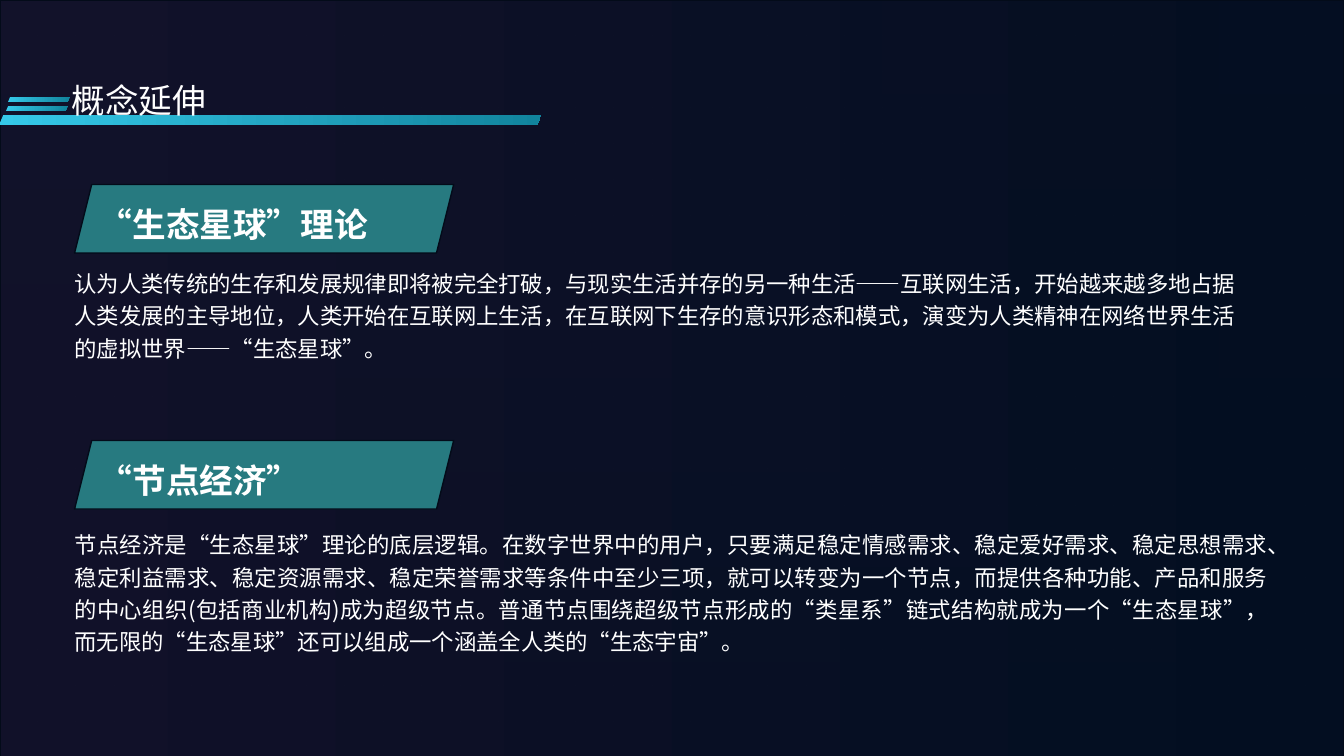
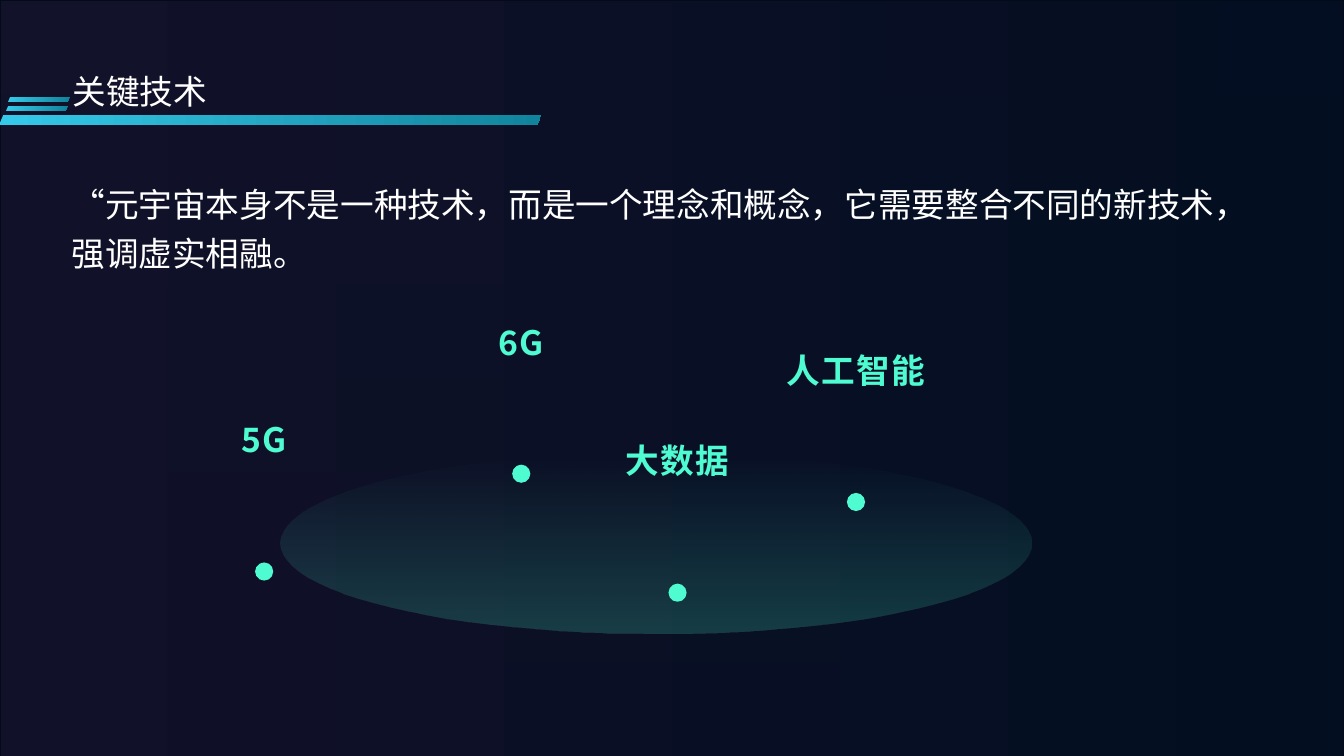
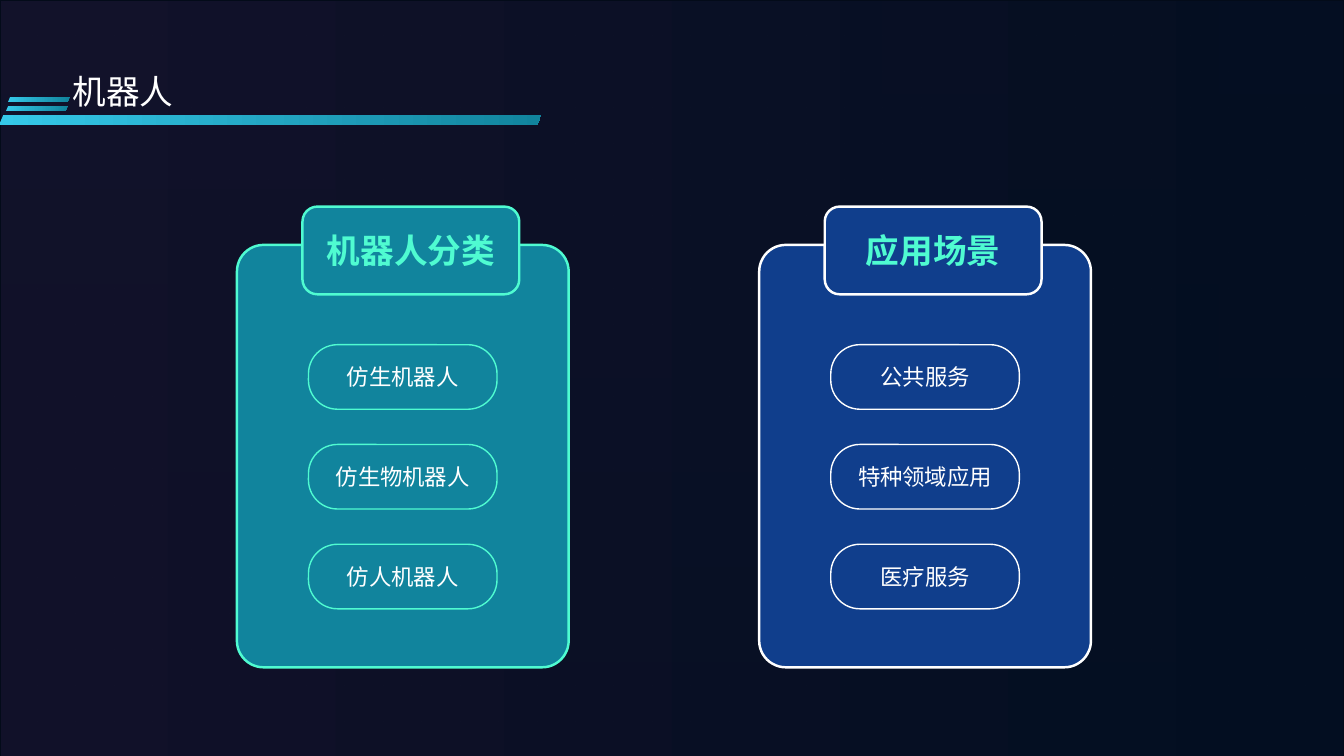
import dataclasses

import lxml.etree
import pptx
import pptx.dml.color
import pptx.enum.lang
import pptx.enum.shapes
import pptx.enum.text
import pptx.oxml.ns
import pptx.util

Inches = pptx.util.Inches
Shape = pptx.enum.shapes.MSO_SHAPE
Align = pptx.enum.text.PP_ALIGN
Anchor = pptx.enum.text.MSO_ANCHOR
AutoSize = pptx.enum.text.MSO_AUTO_SIZE
qualified = pptx.oxml.ns.qn


# Colours, fonts and type sizes
@dataclasses.dataclass(frozen=True)
class Theme:
    night_left: str = "13132B"
    night_right: str = "040F22"
    edge: str = "030B19"
    cyan: str = "35C9E9"
    teal: str = "11849D"
    sea: str = "277A80"
    blue: str = "103E8C"
    mint: str = "4FFBD1"
    white: str = "FFFFFF"
    chinese_font: str = "Noto Sans CJK JP"
    latin_font: str = "Karla"
    large: int = 24
    body: int = 16


THEME = Theme()
SLIDE_WIDTH, SLIDE_HEIGHT = 13.33, 7.5
FLUSH = {"margin_left": 0, "margin_right": 0}


def color(value):
    return pptx.dml.color.RGBColor.from_string(value)


def set_values(target, values):
    for name, value in values.items():
        setattr(target, name, value)


# Fills
def paint_gradient(fill, colors, angle=0):
    fill.gradient()
    fill.gradient_angle = angle
    for stop, value in zip(fill.gradient_stops, colors):
        stop.color.rgb = color(value)


def set_stop_opacity(shape, percents):
    stops = shape.element.iter(qualified("a:gs"))
    for stop, percent in zip(stops, percents):
        alpha = lxml.etree.SubElement(stop[0], qualified("a:alpha"))
        alpha.set("val", str(percent * 1000))


# Shapes and text
def add_shape(slide, kind, box, fill, line=None, line_width=1, adjustment=None,
              angle=0):
    """Fill is one colour, or a pair of colours for a gradient."""
    shape = slide.shapes.add_shape(kind, *map(Inches, box))
    shape.shadow.inherit = False
    if adjustment is not None:
        shape.adjustments[0] = adjustment
    if isinstance(fill, tuple):
        paint_gradient(shape.fill, fill, angle)
    else:
        shape.fill.solid()
        shape.fill.fore_color.rgb = color(fill)
    if line:
        shape.line.color.rgb = color(line)
        shape.line.width = pptx.util.Pt(line_width)
    else:
        shape.line.fill.background()
    return shape


def write_text(shape, text, size, font=THEME.chinese_font, ink=THEME.white,
               bold=False, tracking=None, frame=None, paragraph=None):
    set_values(shape.text_frame, {"word_wrap": True, **(frame or {})})
    target = shape.text_frame.paragraphs[0]
    set_values(target, paragraph or {})
    run = target.add_run()
    run.text = text
    set_values(run.font, {
        "size": pptx.util.Pt(size), "name": font, "bold": bold,
        "language_id": pptx.enum.lang.MSO_LANGUAGE_ID.SIMPLIFIED_CHINESE,
    })
    run.font.color.rgb = color(ink)
    for properties in shape.element.iter(qualified("a:rPr")):
        east_asian = lxml.etree.SubElement(properties, qualified("a:ea"))
        east_asian.set("typeface", THEME.chinese_font)
        if tracking:
            properties.set("spc", str(tracking * 100))


def add_text(slide, box, text, size, **style):
    write_text(slide.shapes.add_textbox(*map(Inches, box)), text, size, **style)


def add_passage(slide, box, text, size, align=Align.LEFT, **style):
    add_text(slide, box, text, size,
             frame={**FLUSH, "auto_size": AutoSize.SHAPE_TO_FIT_TEXT},
             paragraph={"line_spacing": 1.2, "alignment": align}, **style)


def add_title(slide, text, left=0.72, top=0.7):
    add_text(slide, (left, top, 4.65, 0.43), text, THEME.large,
             frame=FLUSH, paragraph={"line_spacing": 0.9})


# Backdrop and title stripes, kept on the layout
def decorate_layout(presentation, layout, slide):
    night = (THEME.night_left, THEME.night_right)
    paint_gradient(presentation.slide_master.background.fill, night, 270)
    veil = add_shape(slide, Shape.RECTANGLE, (0, 0, SLIDE_WIDTH, 7.52), night,
                     THEME.edge)
    set_stop_opacity(veil, (96, 90))
    stripe_boxes = ((-0.01, 1.14, 5.38, 0.1), (0.06, 1.05, 0.61, 0.05),
                    (0.08, 0.96, 0.61, 0.05))
    stripes = [add_shape(slide, Shape.PARALLELOGRAM, box,
                         (THEME.cyan, THEME.teal), adjustment=0.43)
               for box in stripe_boxes]
    for shape in [veil, *stripes]:
        layout.shapes.element.append(shape.element)


# Slide 1: two concepts
def add_concept(slide, top, heading, text_box, text, align=Align.LEFT):
    left = 0.74
    add_shape(slide, Shape.PARALLELOGRAM, (left, top, 3.76, 0.68), THEME.sea,
              THEME.edge)
    add_passage(slide, (left + 0.24, top + 0.06, 3.29, 0.56), heading,
                THEME.large, bold=True)
    add_passage(slide, (left, *text_box), text, THEME.body, align)


def build_concepts(slide):
    add_title(slide, "概念延伸", 0.71, 0.79)
    add_concept(
        slide, 1.83, "“生态星球”理论", (2.58, 11.64, 1.05),
        "认为人类传统的生存和发展规律即将被完全打破，与现实生活并存的另一种生活"
        "——互联网生活，开始越来越多地占据人类发展的主导地位，人类开始在互联网上"
        "生活，在互联网下生存的意识形态和模式，演变为人类精神在网络世界生活的"
        "虚拟世界——“生态星球”。")
    add_concept(
        slide, 4.37, "“节点经济”", (5.17, 11.85, 1.38),
        "节点经济是“生态星球”理论的底层逻辑。在数字世界中的用户，只要满足稳定情感"
        "需求、稳定爱好需求、稳定思想需求、稳定利益需求、稳定资源需求、稳定荣誉"
        "需求等条件中至少三项，就可以转变为一个节点，而提供各种功能、产品和服务的"
        "中心组织(包括商业机构)成为超级节点。普通节点围绕超级节点形成的“类星系”"
        "链式结构就成为一个“生态星球”，而无限的“生态星球”还可以组成一个涵盖"
        "全人类的“生态宇宙”。", Align.JUSTIFY)


# Slide 2: technologies above a glowing disc
def add_technology(slide, left, top, name):
    width, dot = 2.48, 0.18
    add_text(slide, (left, top, width, 0.5), name, THEME.large, ink=THEME.mint,
             bold=True, tracking=1,
             frame={"auto_size": AutoSize.SHAPE_TO_FIT_TEXT},
             paragraph={"alignment": Align.CENTER})
    add_shape(slide, Shape.OVAL,
              (left + (width - dot) / 2, top + 1.47, dot, dot), THEME.mint)


def build_technologies(slide):
    add_title(slide, "关键技术")
    add_passage(slide, (0.71, 1.7, 11.89, 1.04),
                "“元宇宙本身不是一种技术，而是一个理念和概念，它需要整合不同的"
                "新技术，强调虚实相融。", THEME.large, font=THEME.latin_font)
    disc = add_shape(slide, Shape.OVAL, (2.78, 4.49, 7.45, 1.79),
                     (THEME.mint, THEME.mint), angle=270)
    set_stop_opacity(disc, (0, 20))
    for technology in ((1.38, 4.11, "5G"), (3.93, 3.14, "6G"),
                       (7.25, 3.42, "人工智能"), (5.48, 4.32, "大数据")):
        add_technology(slide, *technology)


# Slide 3: two cards of pills
def add_card(slide, left, heading, items, fill, line):
    def add_panel(box, line_width, adjustment):
        return add_shape(slide, Shape.ROUNDED_RECTANGLE, box, fill, line,
                         line_width, adjustment)

    def add_label(shape, text, size, **style):
        write_text(shape, text, size, font=THEME.latin_font,
                   frame={"vertical_anchor": Anchor.MIDDLE},
                   paragraph={"alignment": Align.CENTER}, **style)

    add_panel((left, 2.43, 3.29, 4.19), 1.75, 0.08)
    for index, item in enumerate(items):
        pill = add_panel((left + 0.71, 3.42 + 0.99 * index, 1.87, 0.64), 1, 0.45)
        add_label(pill, item, THEME.body)
    tab = add_panel((left + 0.65, 2.05, 2.15, 0.87), 1.75, 0.17)
    add_label(tab, heading, THEME.large, ink=THEME.mint, bold=True)


def build_robots(slide):
    add_title(slide, "机器人")
    add_card(slide, 2.35, "机器人分类",
             ("仿生机器人", "仿生物机器人", "仿人机器人"), THEME.teal, THEME.mint)
    add_card(slide, 7.53, "应用场景",
             ("公共服务", "特种领域应用", "医疗服务"), THEME.blue, THEME.white)


def main():
    presentation = pptx.Presentation()
    set_values(presentation, {"slide_width": Inches(SLIDE_WIDTH),
                              "slide_height": Inches(SLIDE_HEIGHT)})
    layout = presentation.slide_layouts[6]
    builders = (build_concepts, build_technologies, build_robots)
    slides = [presentation.slides.add_slide(layout) for _ in builders]
    decorate_layout(presentation, layout, slides[0])
    for build, slide in zip(builders, slides):
        build(slide)
    presentation.save("out.pptx")


if __name__ == "__main__":
    main()
